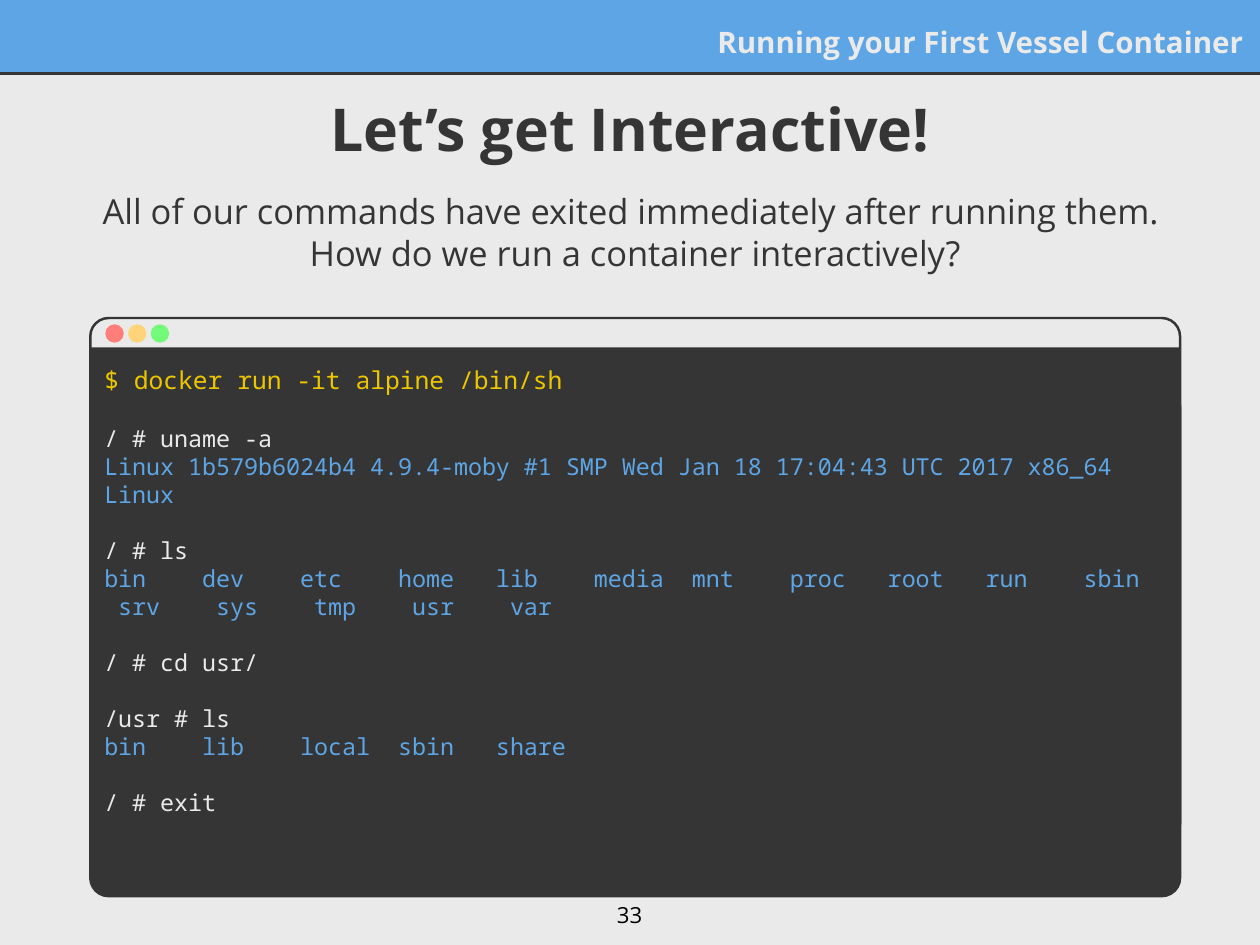
from pptx import Presentation
from pptx import util as u
from pptx.dml.color import RGBColor
from pptx.enum import shapes, text
from pptx.oxml.ns import qn
from lxml import etree

COLORS = {
    "paper": "EAEAEA", "ink": "353535", "blue": "5EA5E5", "yellow": "ECC700",
    "red_dot": "FF7E79", "amber_dot": "FFD479", "green_dot": "73FA79",
    "black": "000000",
}
SANS, MONO = "Open Sans", "Noto Sans Mono"
INSET = u.Cm(0.15)

INTRO = [
    "All of our commands have exited immediately after running them. ",
    "How do we run a container interactively?",
]
# Each block is one prompt line followed by its output
SESSION = [
    ["$ docker run -it alpine /bin/sh"],
    ["/ # uname -a",
     "Linux 1b579b6024b4 4.9.4-moby #1 SMP Wed Jan 18 17:04:43 UTC 2017 x86_64 Linux"],
    ["/ # ls",
     "bin    dev    etc    home   lib    media  mnt    proc   root   run    sbin"
     "   srv    sys    tmp    usr    var"],
    ["/ # cd usr/"],
    ["/usr # ls", "bin    lib    local  sbin   share"],
    ["/ # exit"],
]


def color(name):
    return RGBColor.from_string(COLORS[name])


def place(shape, left, top, width, height):
    shape.left, shape.top = u.Cm(left), u.Cm(top)
    shape.width, shape.height = u.Cm(width), u.Cm(height)


def add_filled(parent, kind, box, fill, outlined=False, radius=None):
    shape = parent.add_shape(kind, *[u.Cm(length) for length in box])
    shape.shadow.inherit = False
    shape.fill.solid()
    shape.fill.fore_color.rgb = color(fill)
    if outlined:
        shape.line.color.rgb = color("ink")
        shape.line.width = u.Pt(2)
    else:
        shape.line.fill.background()
    if radius is not None:
        shape.adjustments[0] = radius
    return shape


def set_frame(shape, anchor=text.MSO_ANCHOR.TOP, wrap=True):
    frame = shape.text_frame
    frame.auto_size = text.MSO_AUTO_SIZE.NONE
    frame.word_wrap = wrap
    frame.vertical_anchor = anchor
    frame.margin_left = frame.margin_right = INSET
    frame.margin_top = frame.margin_bottom = INSET
    return frame


def format_paragraph(paragraph, size, ink, align, font=SANS, bold=False, before=0):
    properties = paragraph._p.get_or_add_pPr()
    properties.set("marL", "0")
    properties.set("indent", "0")
    etree.SubElement(properties, qn("a:buNone"))
    paragraph.alignment = align
    paragraph.space_before = u.Pt(before)
    for run in paragraph.runs:
        run.font.name = font
        run.font.size = u.Pt(size)
        run.font.bold = bold
        run.font.color.rgb = color(ink)


def write(shape, lines, size, ink, align, bold=False, **frame_options):
    frame = set_frame(shape, **frame_options)
    frame.text = "\n".join(lines)
    for paragraph in frame.paragraphs:
        format_paragraph(paragraph, size, ink, align, bold=bold)


def add_band(slide, title):
    band = add_filled(slide.shapes, shapes.MSO_SHAPE.RECTANGLE,
                      (0, -0.03, 36.12, 2.16), "blue")
    rule = slide.shapes.add_connector(shapes.MSO_CONNECTOR.STRAIGHT,
                                      0, u.Cm(2.11), u.Cm(36.12), u.Cm(2.11))
    rule.line.color.rgb = color("ink")
    rule.line.width = u.Pt(2)
    etree.SubElement(rule._element.spPr, qn("a:effectLst"))
    # The band lies behind the placeholders
    for shape in (band, rule):
        title._element.addprevious(shape._element)


def add_window(slide):
    window = slide.shapes.add_group_shape().shapes
    rounded = shapes.MSO_SHAPE.ROUNDED_RECTANGLE
    add_filled(window, rounded, (2.59, 9.12, 31.24, 15.01), "paper", True, 0.035)
    add_filled(window, rounded, (2.59, 11.15, 31.24, 14.55), "ink", True, 0.036)
    add_filled(window, shapes.MSO_SHAPE.RECTANGLE, (2.59, 9.96, 31.22, 2.97), "ink")
    for index, dot in enumerate(("red_dot", "amber_dot", "green_dot")):
        add_filled(window, shapes.MSO_SHAPE.OVAL,
                   (3.02 + 0.65 * index, 9.3, 0.53, 0.53), dot)


def add_session(slide):
    box = slide.shapes.add_textbox(u.Cm(2.84), u.Cm(10.31), u.Cm(30.43), u.Cm(11.84))
    frame = set_frame(box)
    frame.text = "\n".join(line for block in SESSION for line in block)
    paragraphs = iter(frame.paragraphs)
    for block_index, block in enumerate(SESSION):
        for line_index in range(len(block)):
            size, ink, before = 19, "blue", 0
            if block_index == 0:
                size, ink = 20, "yellow"
            elif line_index == 0:
                ink, before = "paper", 24 if block_index == 1 else 22.8
            format_paragraph(next(paragraphs), size, ink, text.PP_ALIGN.LEFT,
                             MONO, before=before)


def main():
    presentation = Presentation()
    presentation.slide_width, presentation.slide_height = u.Cm(36.12), u.Cm(27.1)
    slide = presentation.slides.add_slide(presentation.slide_layouts[3])
    slide.background.fill.solid()
    slide.background.fill.fore_color.rgb = color("paper")
    title, header, intro = list(slide.placeholders)[:3]
    center = text.PP_ALIGN.CENTER

    # Header band
    add_band(slide, title)
    place(header, 20.04, 0.58, 15.75, 1.22)
    write(header, ["Running your First Vessel Container"], 24, "paper",
          text.PP_ALIGN.RIGHT, bold=True, anchor=text.MSO_ANCHOR.MIDDLE)

    # Title and introduction
    place(title, 0.97, 2.49, 34.19, 2.57)
    write(title, ["Let’s get Interactive!"], 48, "ink", center, bold=True)
    place(intro, 1.14, 5.31, 34.14, 2.97)
    write(intro, INTRO, 28, "ink", center)

    # Terminal window
    add_window(slide)
    add_session(slide)

    # Page number
    number = slide.shapes.add_textbox(u.Cm(17.53), u.Cm(25.7), u.Cm(1.04), u.Cm(1.12))
    write(number, ["33"], 18, "black", center, wrap=False)

    presentation.save("out.pptx")


if __name__ == "__main__":
    main()
